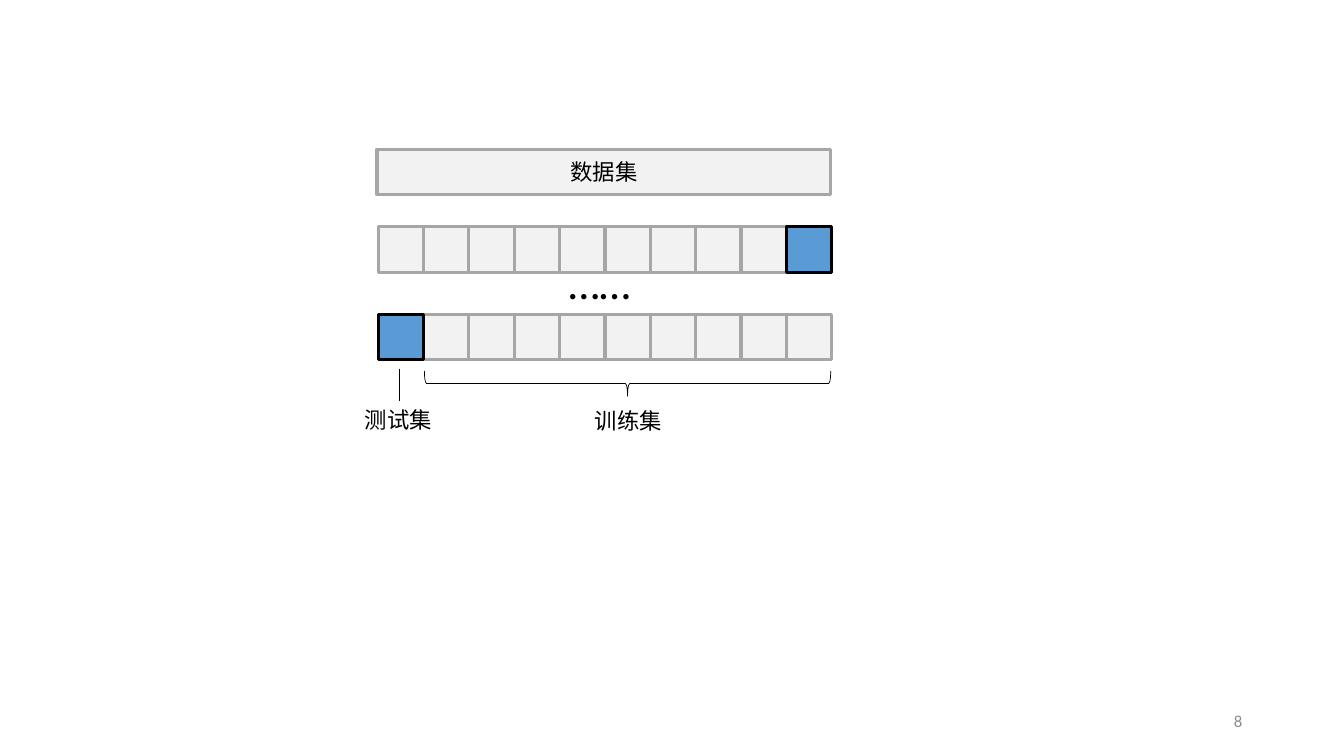
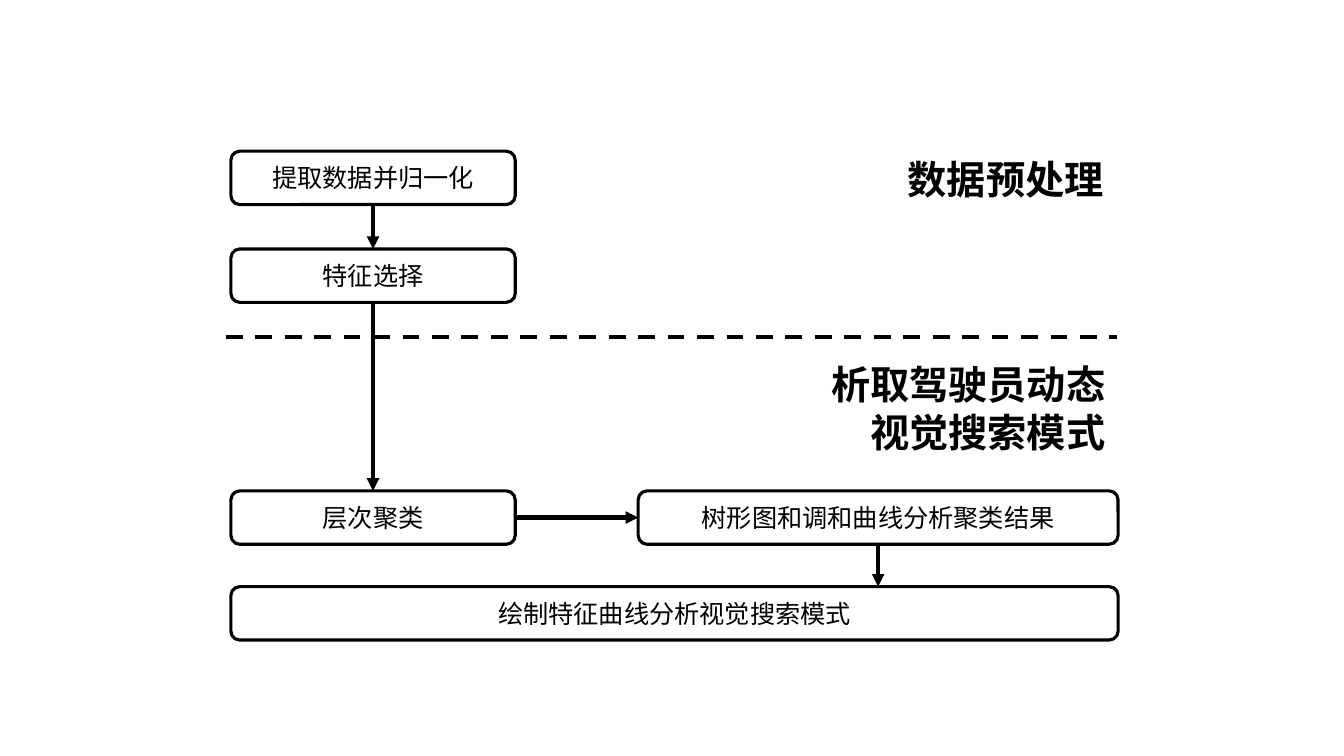
import lxml.etree
import pptx
import pptx.dml.color
import pptx.enum.dml
import pptx.enum.shapes
import pptx.enum.text
import pptx.oxml.ns
import pptx.util

EMU_PER_PX = 9144  # 100 px to the inch
FONT = "Calibri"
COLORS = {
    "ink": "000000",
    "cell": "F2F2F2",
    "cell_line": "A6A6A6",
    "test_set": "5B9BD5",
    "page_number": "8C8C8C",
}
SHAPE = pptx.enum.shapes.MSO_SHAPE
ALIGN = pptx.enum.text.PP_ALIGN
ANCHOR = pptx.enum.text.MSO_ANCHOR
TOP, LEFT, BOTTOM, RIGHT = range(4)


def px(*lengths):
    return [pptx.util.Emu(length * EMU_PER_PX) for length in lengths]


def rgb(name):
    return pptx.dml.color.RGBColor.from_string(COLORS[name])


class Deck:
    """Holds the shared style and the slide being drawn."""

    def __init__(self, width, height):
        self.presentation = pptx.Presentation()
        self.presentation.slide_width, self.presentation.slide_height = px(width, height)
        self.slide = None

    def new_slide(self):
        self.slide = self.presentation.slides.add_slide(self.presentation.slide_layouts[6])

    def add_text(self, frame, lines, size, align, color="ink", bold=False):
        for index, line in enumerate(lines):
            paragraph = frame.add_paragraph() if index else frame.paragraphs[0]
            paragraph.alignment = align
            run = paragraph.add_run()
            run.text = line
            run.font.name = FONT
            run.font.size = pptx.util.Pt(size)
            run.font.bold = bold
            run.font.color.rgb = rgb(color)

    def shape(self, kind, box, fill=None, line="ink", weight=2.25, text=None, size=18):
        shape = self.slide.shapes.add_shape(kind, *px(*box))
        shape.shadow.inherit = False
        if fill:
            shape.fill.solid()
            shape.fill.fore_color.rgb = rgb(fill)
        else:
            shape.fill.background()
        shape.line.color.rgb = rgb(line)
        shape.line.width = pptx.util.Pt(weight)
        if text:
            shape.text_frame.vertical_anchor = ANCHOR.MIDDLE
            self.add_text(shape.text_frame, [text], size, ALIGN.CENTER)
        return shape

    def label(self, box, lines, size, align=ALIGN.LEFT, bold=False):
        """Unwrapped text whose box grows with it."""
        frame = self.slide.shapes.add_textbox(*px(*box)).text_frame
        frame.word_wrap = False
        frame.auto_size = pptx.enum.text.MSO_AUTO_SIZE.SHAPE_TO_FIT_TEXT
        self.add_text(frame, lines, size, align, bold=bold)

    def page_number(self, number):
        frame = self.slide.shapes.add_textbox(*px(942, 695, 300, 40)).text_frame
        frame.word_wrap = True
        frame.vertical_anchor = ANCHOR.MIDDLE
        self.add_text(frame, [str(number)], 12, ALIGN.RIGHT, "page_number")

    def line(self, start, end, weight, dashed=False, arrow=False):
        connector = self.slide.shapes.add_connector(
            pptx.enum.shapes.MSO_CONNECTOR.STRAIGHT, *px(*start, *end))
        connector.line.color.rgb = rgb("ink")
        connector.line.width = pptx.util.Pt(weight)
        if dashed:
            connector.line.dash_style = pptx.enum.dml.MSO_LINE.DASH
        if arrow:
            tail = lxml.etree.SubElement(connector.get_or_add_ln(), pptx.oxml.ns.qn("a:tailEnd"))
            tail.set("type", "triangle")
        lxml.etree.SubElement(connector.element.spPr, pptx.oxml.ns.qn("a:effectLst"))
        return connector

    def fold_row(self, left, top, side, count, test_index):
        """Row of data folds; the test fold is drawn last, on top."""
        for index in sorted(range(count), key=lambda i: i == test_index):
            is_test = index == test_index
            self.shape(SHAPE.RECTANGLE, (left + index * side, top, side, side),
                       "test_set" if is_test else "cell", "ink" if is_test else "cell_line")

    def step(self, left, top, width, text):
        return self.shape(SHAPE.ROUNDED_RECTANGLE, (left, top, width, 53), text=text)


def cross_validation_slide(deck):
    deck.new_slide()
    deck.page_number(8)
    deck.shape(SHAPE.RECTANGLE, (374, 148, 450, 45), "cell", "cell_line", text="数据集", size=16)
    deck.fold_row(375, 225, 45, 10, test_index=9)
    deck.label((554, 248, 82, 64), ["……"], 32)
    deck.fold_row(375, 312, 45, 10, test_index=0)
    brace = deck.shape(SHAPE.LEFT_BRACE, (610, 179, 25, 403), weight=0.5)
    brace.rotation = 270
    deck.label((580, 399, 88, 37), ["训练集"], 16)
    deck.label((352, 398, 88, 37), ["测试集"], 16)
    deck.line((396, 366), (396, 398), 0.5)


def workflow_slide(deck):
    deck.new_slide()
    deck.label((889, 149, 217, 57), ["数据预处理"], 28, ALIGN.CENTER, bold=True)
    deck.label((811, 353, 295, 104), ["析取驾驶员动态", "视觉搜索模式"], 28, ALIGN.RIGHT, bold=True)
    deck.line((224, 334), (1108, 334), 3, dashed=True)

    extract = deck.step(229, 150, 282, "提取数据并归一化")
    select = deck.step(229, 247, 282, "特征选择")
    cluster = deck.step(229, 487, 282, "层次聚类")
    analyse = deck.step(633, 487, 476, "树形图和调和曲线分析聚类结果")
    deck.step(229, 582, 880, "绘制特征曲线分析视觉搜索模式")

    for source, source_side, target, target_side in (
        (extract, BOTTOM, select, TOP),
        (select, BOTTOM, cluster, TOP),
        (cluster, RIGHT, analyse, LEFT),
    ):
        arrow = deck.line((0, 0), (0, 0), 3, arrow=True)
        arrow.begin_connect(source, source_side)
        arrow.end_connect(target, target_side)
    deck.line((871, 540), (871, 582), 3, arrow=True).begin_connect(analyse, BOTTOM)


def main():
    deck = Deck(1333, 750)
    cross_validation_slide(deck)
    workflow_slide(deck)
    deck.presentation.save("out.pptx")


if __name__ == "__main__":
    main()
